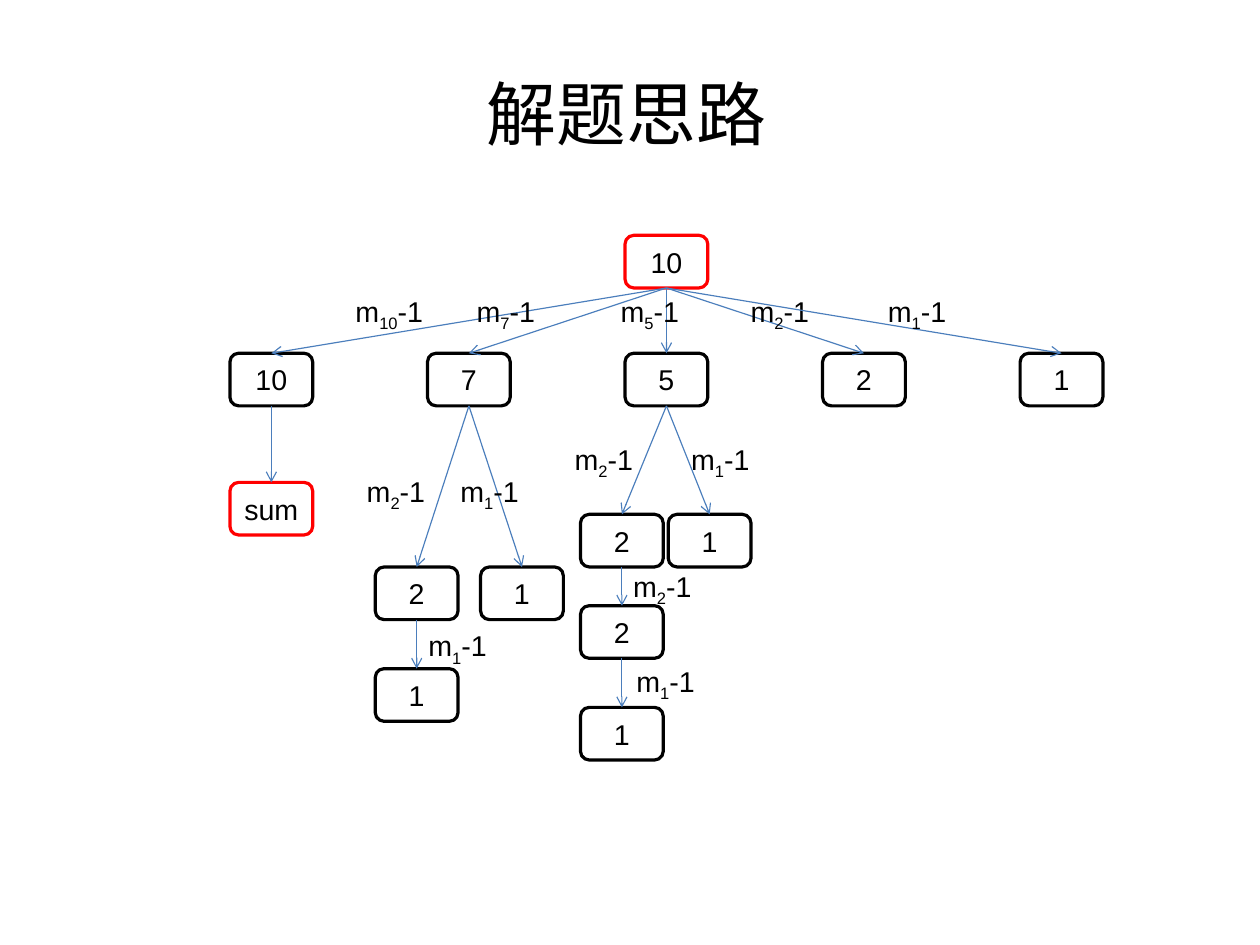
"""Build the slide that shows the coin search tree."""
from dataclasses import dataclass, field

from lxml.etree import SubElement
from pptx import Presentation
from pptx.dml.color import RGBColor
from pptx.enum.shapes import MSO_CONNECTOR, MSO_SHAPE
from pptx.enum.text import MSO_ANCHOR, PP_ALIGN
from pptx.oxml.ns import qn
from pptx.shapes.autoshape import Shape
from pptx.slide import Slide
from pptx.text.text import TextFrame
from pptx.util import Cm, Pt

BLACK = RGBColor(0x00, 0x00, 0x00)
WHITE = RGBColor(0xFF, 0xFF, 0xFF)
RED = RGBColor(0xFF, 0x00, 0x00)
BLUE = RGBColor(0x4B, 0x7E, 0xBC)
FONT = "Arial"
NODE_W, NODE_H = 1.84, 1.17
FIRST_X, PITCH = 6.03, 4.39
ROOT_Y, ROW_Y, LABEL_Y = 5.23, 7.85, 6.4


@dataclass
class Node:
    """A tree node: centre x, top y, and left top of its edge label, in cm."""
    text: str
    x: float
    y: float
    label: tuple[float, float] | None = None
    children: list["Node"] = field(default_factory=list)
    color: RGBColor = BLACK


def add_run(tf: TextFrame, text: str, *, size: float = 18, baseline: int = 0,
            align: PP_ALIGN = PP_ALIGN.LEFT) -> None:
    """Append a formatted run to the first paragraph."""
    p = tf.paragraphs[0]
    p.alignment = align
    r = p.add_run()
    r.text = text
    r.font.name, r.font.size = FONT, Pt(size)
    r.font.color.rgb = BLACK
    if baseline:
        r._r.get_or_add_rPr().set("baseline", str(baseline * 1000))


def center_text(tf: TextFrame, text: str, size: float) -> None:
    """Write text in the middle of a frame without margins."""
    tf.margin_left = tf.margin_right = tf.margin_top = tf.margin_bottom = 0
    tf.vertical_anchor = MSO_ANCHOR.MIDDLE
    add_run(tf, text, size=size, align=PP_ALIGN.CENTER)


def add_node(s: Slide, node: Node) -> Shape:
    """Draw the rounded box of one node."""
    sp = s.shapes.add_shape(MSO_SHAPE.FLOWCHART_ALTERNATE_PROCESS,
                            Cm(node.x - NODE_W / 2), Cm(node.y), Cm(NODE_W), Cm(NODE_H))
    sp.shadow.inherit = False
    sp.fill.solid()
    sp.fill.fore_color.rgb = WHITE
    sp.line.color.rgb = node.color
    sp.line.width = Pt(2)
    center_text(sp.text_frame, node.text, 18)
    return sp


def add_arrow(s: Slide, parent: Shape, child: Shape) -> None:
    """Connect the bottom of the parent to the top of the child."""
    cn = s.shapes.add_connector(MSO_CONNECTOR.STRAIGHT, 0, 0, 0, 0)
    cn.begin_connect(parent, 2)
    cn.end_connect(child, 0)
    cn.line.color.rgb = BLUE
    cn.line.width = Pt(0.75)
    SubElement(cn.line._get_or_add_ln(), qn("a:tailEnd"), type="arrow")
    SubElement(cn._element.spPr, qn("a:effectLst"))


def add_label(s: Slide, coin: str, x: float, y: float) -> None:
    """Write the edge label with the coin as subscript."""
    tf = s.shapes.add_textbox(Cm(x), Cm(y), Cm(2.54), Cm(1.02)).text_frame
    tf.word_wrap = True
    add_run(tf, "m")
    add_run(tf, coin, baseline=-25)
    add_run(tf, "-1")


def draw_tree(s: Slide, node: Node, parent: Shape | None = None) -> None:
    """Draw a node, its incoming edge and all its children."""
    sp = add_node(s, node)
    if parent is not None:
        add_arrow(s, parent, sp)
    if node.label:
        add_label(s, node.text, *node.label)
    for child in node.children:
        draw_tree(s, child, sp)


def build_tree() -> Node:
    """Return the search tree for the amount 10."""
    sum_node = Node("sum", FIRST_X, 10.72, color=RED)
    under_7 = [
        Node("2", 9.26, 12.6, (7.9, 10.41), [Node("1", 9.26, 14.86, (9.27, 13.84))]),
        Node("1", 11.6, 12.6, (9.98, 10.41)),
    ]
    last = Node("1", 13.82, 15.72, (13.89, 14.63))
    under_5 = [
        Node("2", 13.82, 11.43, (12.52, 9.7),
             [Node("2", 13.82, 13.46, (13.82, 12.52), [last])]),
        Node("1", 15.77, 11.43, (15.11, 9.7)),
    ]
    branches = [("10", 7.65, [sum_node]), ("7", 10.34, under_7), ("5", 13.54, under_5),
                ("2", 16.43, []), ("1", 19.48, [])]
    row = [Node(coin, FIRST_X + i * PITCH, ROW_Y, (label_x, LABEL_Y), children)
           for i, (coin, label_x, children) in enumerate(branches)]
    return Node("10", row[2].x, ROOT_Y, children=row, color=RED)


def main() -> None:
    """Create and save the presentation."""
    prs = Presentation()
    prs.slide_width, prs.slide_height = Cm(28), Cm(21)
    s = prs.slides.add_slide(prs.slide_layouts[5])
    title = s.shapes.title
    title.left, title.top, title.width, title.height = Cm(1.32), Cm(0.76), Cm(25.2), Cm(3.5)
    center_text(title.text_frame, "解题思路", 44)
    draw_tree(s, build_tree())
    prs.save("out.pptx")


main()
